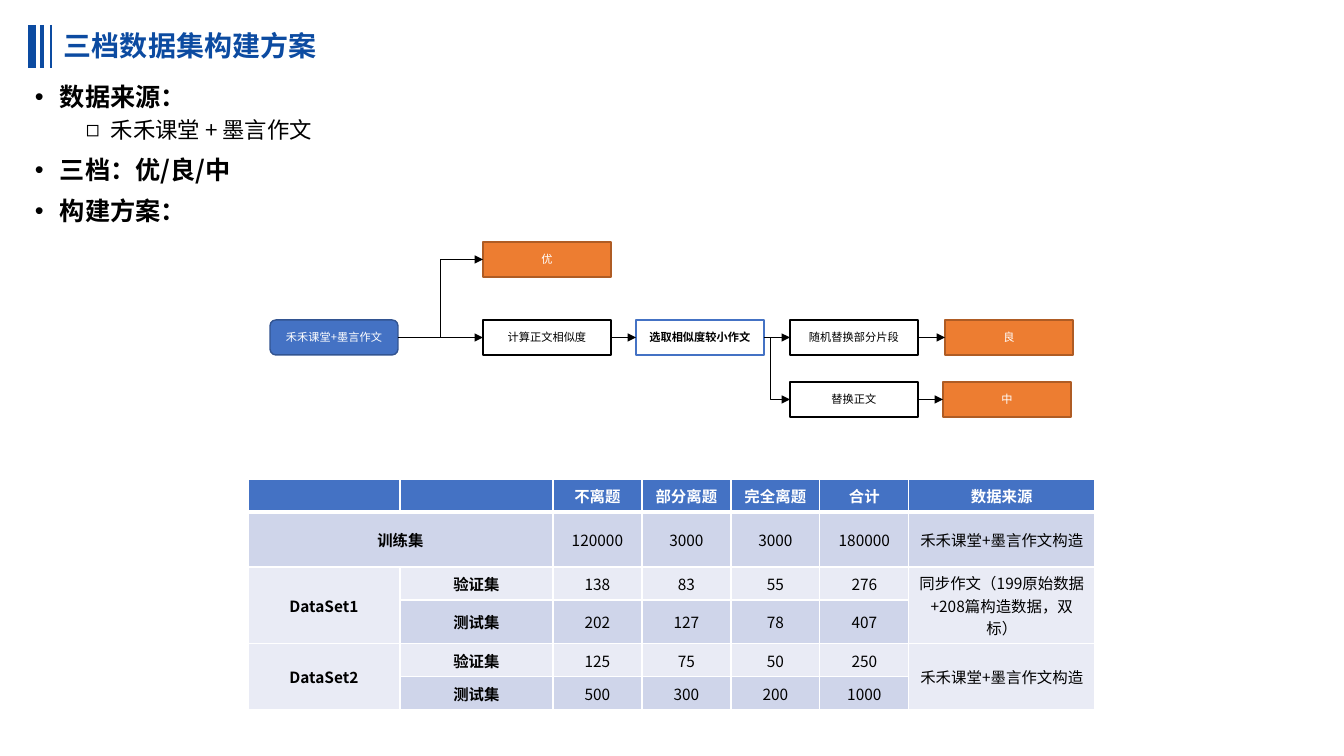
from lxml.etree import SubElement
from pptx import Presentation
from pptx.dml.color import RGBColor
from pptx.enum.shapes import MSO_CONNECTOR as Link, MSO_SHAPE as Shape
from pptx.enum.text import MSO_ANCHOR as Anchor, PP_ALIGN as Align
from pptx.oxml.ns import qn
from pptx.util import Pt

PX = 12192000 / 1344
FONT = "Noto Sans CJK SC"
NAVY, BLUE, ORANGE, BLACK, WHITE = "0C4BA1", "4472C4", "ED7D31", "000000", "FFFFFF"
BAND_DARK, BAND_LIGHT = "CFD5EA", "E9EBF5"

TITLE = "三档数据集构建方案"
TITLE_BARS = [(32, 6), (42, 3), (51, 1.5)]  # x, width in points
BULLETS = [  # text, level
    ("数据来源：", 0),
    ("禾禾课堂 + 墨言作文", 1),
    ("三档：优/良/中", 0),
    ("构建方案：", 0),
]
BULLET_LEVELS = [  # sign, left indent, space before, font
    ("•", 25, 10, {"size": Pt(18), "bold": True}),
    ("◻", 76, 5, {"size": Pt(16), "bold": False}),
]

NODE_WIDTH, NODE_HEIGHT = 128, 35
NODE_STYLES = {  # fill, line, text colour, bold
    "source": (BLUE, "325491", WHITE, False),
    "grade": (ORANGE, "AF5C24", WHITE, False),
    "step": (WHITE, BLACK, BLACK, False),
    "choice": (WHITE, BLUE, BLACK, True),
}
NODES = {  # text, x, y, style
    "source": ("禾禾课堂+墨言作文", 270, 320, "source"),
    "good": ("优", 483, 242, "grade"),
    "similarity": ("计算正文相似度", 483, 320, "step"),
    "choice": ("选取相似度较小作文", 636, 320, "choice"),
    "fair": ("良", 945, 320, "grade"),
    "medium": ("中", 943, 382, "grade"),
    "swap_parts": ("随机替换部分片段", 790, 320, "step"),
    "swap_text": ("替换正文", 790, 382, "step"),
}
ARROWS = [  # from, to, place of the bend in 1/100000 of the width
    ("source", "good", 50000),
    ("source", "similarity", None),
    ("similarity", "choice", None),
    ("choice", "swap_parts", None),
    ("swap_parts", "fair", None),
    ("swap_text", "medium", None),
    ("choice", "swap_text", 24500),
]

TABLE_LEFT, TABLE_TOP = 248, 479
COLUMN_WIDTHS = [152, 153, 89, 89, 89, 89, 186]
ROW_HEIGHTS = [33, 55, 33, 44, 33, 33]
ROWS = [
    ["", "", "不离题", "部分离题", "完全离题", "合计", "数据来源"],
    ["训练集", "", "120000", "3000", "3000", "180000", "禾禾课堂+墨言作文构造"],
    ["DataSet1", "验证集", "138", "83", "55", "276",
     "同步作文（199原始数据+208篇构造数据，双标）"],
    ["", "测试集", "202", "127", "78", "407", ""],
    ["DataSet2", "验证集", "125", "75", "50", "250", "禾禾课堂+墨言作文构造"],
    ["", "测试集", "500", "300", "200", "1000", ""],
]
MERGES = [((1, 0), (1, 1)), ((2, 0), (3, 0)), ((2, 6), (3, 6)),
          ((4, 0), (5, 0)), ((4, 6), (5, 6))]


def emu(*lengths):
    return [round(length * PX) for length in lengths]


def color(value):
    return RGBColor.from_string(value)


def paint(target, value):
    target.fill.solid()
    target.fill.fore_color.rgb = color(value)


def write(para, text, ink, **formats):
    span = para.add_run()
    span.text = text
    for name, value in {"name": FONT, **formats}.items():
        setattr(span.font, name, value)
    span.font.color.rgb = color(ink)
    SubElement(span.font._element, qn("a:ea"), typeface=FONT)


def add_text_frame(page, *place):
    frame = page.shapes.add_textbox(*emu(*place)).text_frame
    frame.word_wrap = True
    return frame


def add_line(page, kind, ends, ink, width):
    line = page.shapes.add_connector(kind, *emu(*ends))
    line.line.color.rgb = color(ink)
    line.line.width = Pt(width)
    SubElement(line._element.spPr, qn("a:effectLst"))
    return line


def add_heading(page):
    for x, width in TITLE_BARS:
        add_line(page, Link.STRAIGHT, (x, 25, x, 68), NAVY, width)
    frame = add_text_frame(page, 54, 22, 699, 50)
    frame.vertical_anchor = Anchor.MIDDLE
    para = frame.paragraphs[0]
    para.line_spacing = 0.9
    write(para, TITLE, NAVY, size=Pt(20), bold=True)


def add_bullets(page):
    frame = add_text_frame(page, 25, 80, 1295, 613)
    for index, (text, level) in enumerate(BULLETS):
        para = frame.add_paragraph() if index else frame.paragraphs[0]
        sign, indent, before, formats = BULLET_LEVELS[level]
        para.level = level
        para.line_spacing = 0.9
        para.space_before = Pt(before)
        left, hanging = emu(indent, -25)
        props = para._p.get_or_add_pPr()
        props.set("marL", str(left))
        props.set("indent", str(hanging))
        SubElement(props, qn("a:buFont"), typeface="Arial")
        SubElement(props, qn("a:buChar"), char=sign)
        write(para, text, BLACK, **formats)


def add_node(page, text, x, y, style):
    fill, edge, ink, bold = NODE_STYLES[style]
    box = page.shapes.add_shape(
        Shape.ROUNDED_RECTANGLE, *emu(x, y, NODE_WIDTH, NODE_HEIGHT))
    if style != "source":
        box.adjustments[0] = 0
    box.shadow.inherit = False
    paint(box, fill)
    box.line.color.rgb = color(edge)
    box.line.width = Pt(1)
    frame = box.text_frame
    frame.vertical_anchor = Anchor.MIDDLE
    frame.margin_left = frame.margin_right = 0
    para = frame.paragraphs[0]
    para.alignment = Align.CENTER
    write(para, text, ink, size=Pt(8), bold=bold)


def add_arrow(page, start, end, bend):
    _, x1, y1, _ = NODES[start]
    _, x2, y2, _ = NODES[end]
    middle = NODE_HEIGHT / 2
    ends = (x1 + NODE_WIDTH, y1 + middle, x2, y2 + middle)
    kind = Link.ELBOW if bend else Link.STRAIGHT
    arrow = add_line(page, kind, ends, BLACK, 0.5)
    SubElement(arrow.line._get_or_add_ln(), qn("a:tailEnd"), type="triangle")
    if bend:
        guides = arrow._element.spPr.find(qn("a:prstGeom")).find(qn("a:avLst"))
        SubElement(guides, qn("a:gd"), name="adj1", fmla=f"val {bend}")


def underline_cell(cell, ink, width):
    """Draw the bottom border; call before the fill, which must follow it."""
    border = SubElement(cell._tc.get_or_add_tcPr(), qn("a:lnB"), w=str(Pt(width)))
    SubElement(SubElement(border, qn("a:solidFill")), qn("a:srgbClr"), val=ink)


def add_dataset_table(page):
    place = (TABLE_LEFT, TABLE_TOP, sum(COLUMN_WIDTHS), sum(ROW_HEIGHTS))
    table = page.shapes.add_table(len(ROWS), len(COLUMN_WIDTHS), *emu(*place)).table
    for column, width in zip(table.columns, emu(*COLUMN_WIDTHS)):
        column.width = width
    for line, height in zip(table.rows, emu(*ROW_HEIGHTS)):
        line.height = height
    for r, row in enumerate(ROWS):
        band = BAND_DARK if r % 2 else BAND_LIGHT
        for c, text in enumerate(row):
            cell = table.cell(r, c)
            if r == 0:
                underline_cell(cell, WHITE, 3)
            paint(cell, band if r else BLUE)
            cell.vertical_anchor = Anchor.MIDDLE
            para = cell.text_frame.paragraphs[0]
            para.alignment = Align.CENTER
            if text:
                write(para, text, BLACK if r else WHITE,
                      size=Pt(11), bold=r == 0 or c < 2)
            else:
                SubElement(para._p, qn("a:endParaRPr"), sz="1100")
    for first, last in MERGES:
        table.cell(*first).merge(table.cell(*last))


def main():
    deck = Presentation()
    deck.slide_width, deck.slide_height = emu(1344, 756)
    page = deck.slides.add_slide(deck.slide_layouts[6])
    add_heading(page)
    add_bullets(page)
    for node in NODES.values():
        add_node(page, *node)
    for arrow in ARROWS:
        add_arrow(page, *arrow)
    add_dataset_table(page)
    deck.save("out.pptx")


if __name__ == "__main__":
    main()
